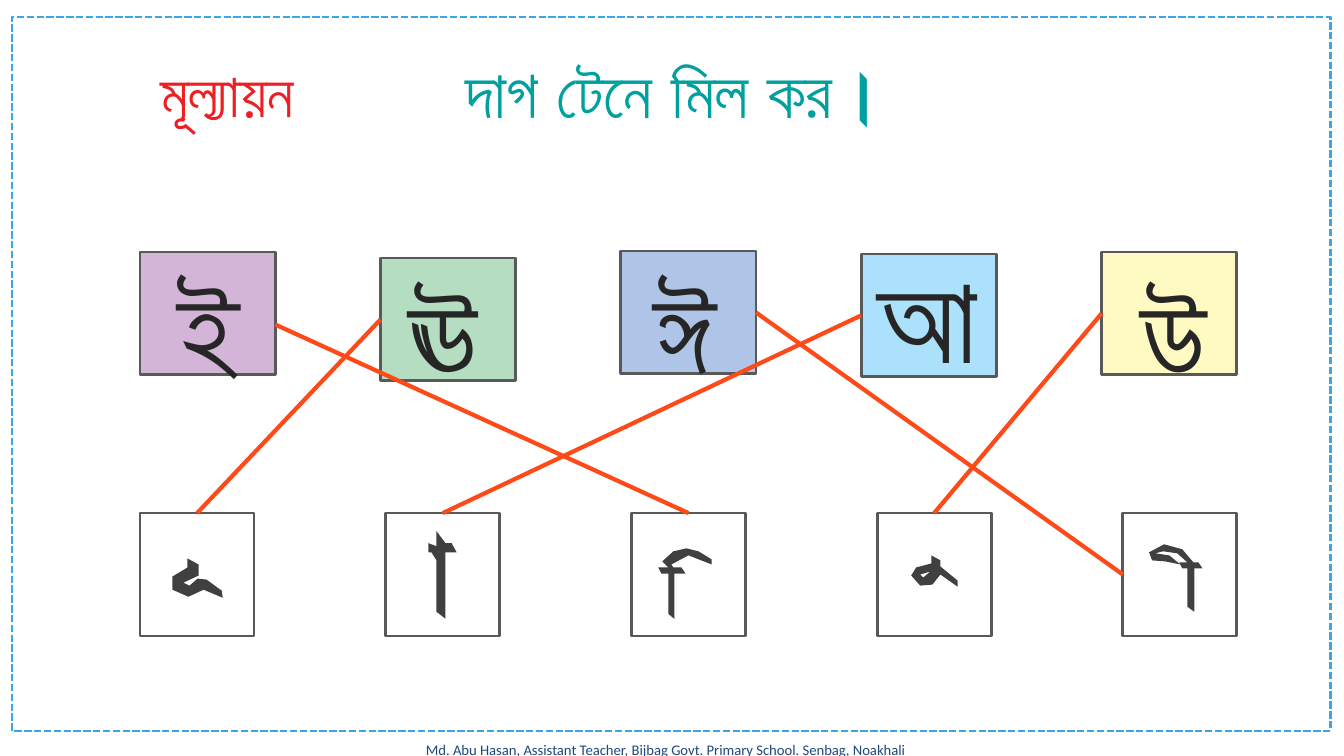
from lxml import etree
from pptx import Presentation
from pptx.dml.color import RGBColor
from pptx.enum.dml import MSO_LINE
from pptx.enum.shapes import MSO_CONNECTOR, MSO_SHAPE
from pptx.enum.text import MSO_ANCHOR, MSO_AUTO_SIZE, PP_ALIGN
from pptx.oxml.ns import qn
from pptx.util import Pt

RECT = MSO_SHAPE.RECTANGLE
LINE = MSO_CONNECTOR.STRAIGHT
DASH = MSO_LINE.SQUARE_DOT
LEFT, MID = PP_ALIGN.LEFT, PP_ALIGN.CENTER
HIGH = MSO_ANCHOR.TOP
FIXED = MSO_AUTO_SIZE.NONE
TOP, SIDE, RIGHT = 0, 1, 3

HUES = {
    "frame": "3CA5E5", "edge": "595959", "link": "FE4919",
    "label": "ED1F24", "title": "00A09F", "foot": "1F497D",
    "letter": "262626", "sign": "404040", "white": "FFFFFF",
    "mauve": "D3B6D7", "green": "B4DDC1", "blue": "AEC5E7",
    "sky": "ABE1FA", "yellow": "FFFAC2",
}

FORMS = {
    "label": {"size": Pt(44), "bold": True},
    "title": {"size": Pt(48), "bold": True},
    "letter": {"size": Pt(88), "bold": True},
    "foot": {"size": Pt(10.5), "bold": False},
}

TITLE = "দাগ টেনে মিল কর।"
LABEL = "মূল্যায়ন"
FOOT = "Md. Abu Hasan, Assistant Teacher, Bijbag Govt. Primary School. Senbag, Noakhali"

LETTERS = [
    ("ই", "mauve", 180, 19.4, 175),
    ("ঊ", "green", 184.3, 12.6, 180),
    ("ঈ", "blue", 179.3, 15.9, 175),
    ("আ", "sky", 181.4, 4.7, 167.8),
    ("উ", "yellow", 180, 20.9, 180),
]

SIGNS = [
    (121.7, 398.9, [[
        (17, 0), (28, 6), (28, 17), (13, 24), (19, 27), (27, 20), (36, 21),
        (51, 32), (52, 39), (33, 31), (18, 38), (2, 31), (2, 18), (17, 9)]]),
    (306, 379.4, [[
        (8, 0), (17, 12), (23, 12), (28, 21), (17, 21), (17, 87), (8, 80),
        (8, 29), (3, 21), (0, 21), (0, 12), (8, 15)]]),
    (470.2, 391.7, [[
        (28, 0), (40, 3), (53, 11), (53, 16), (30, 7), (13, 16), (15, 19),
        (23, 19), (27, 25), (16, 25), (16, 70), (10, 65), (10, 25), (3, 25),
        (0, 19), (10, 19), (4, 13), (15, 3)]]),
    (650.9, 396.7, [[
        (20, 0), (29, 5), (29, 11), (46, 25), (46, 31), (29, 19), (21, 29),
        (9, 30), (0, 20), (5, 12), (20, 8)],
        [(19, 16), (9, 19), (12, 22)]]),
    (820.8, 388.8, [[
        (15, 0), (33, 5), (44, 18), (49, 18), (53, 24), (45, 24), (45, 67),
        (38, 62), (38, 24), (33, 24), (30, 18), (38, 18), (28, 9), (14, 7),
        (6, 9), (20, 11), (31, 20), (16, 17), (3, 16), (0, 8)]]),
]

LINKS = [(0, RIGHT, 2, TOP), (3, SIDE, 1, TOP), (4, SIDE, 3, TOP),
         (1, SIDE, 0, TOP), (2, RIGHT, 4, SIDE)]
LOOSE = {0: (196.6, 231.8)}

EDGE, ROW, TALL = 100.1, 366.5, 87.8
WIDE, STEP = 96.5, 171.7
SLIM, PACE = 81.4, 175.5
UNIT = Pt(0.72)


def hue(name):
    return RGBColor.from_string(HUES[name])


def paint(shape, fill, line=None, width=0):
    shape.shadow.inherit = False
    if fill:
        shape.fill.solid()
        shape.fill.fore_color.rgb = hue(fill)
    else:
        shape.fill.background()
    if line:
        shape.line.color.rgb = hue(line)
        shape.line.width = Pt(width)
    else:
        shape.line.fill.background()


def card(box, fill, line="edge", width=2):
    shape = slide.shapes.add_shape(RECT, *map(Pt, box))
    paint(shape, fill, line, width)
    return shape


def write(shape, text, form, align=LEFT):
    frame = shape.text_frame
    frame.word_wrap = True
    frame.auto_size = FIXED
    frame.vertical_anchor = HIGH
    para = frame.paragraphs[0]
    para.alignment = align
    run = para.add_run()
    run.text = text
    run.font.name = "Calibri"
    run.font.color.rgb = hue(form)
    for key, value in FORMS[form].items():
        setattr(run.font, key, value)


def label(box, text, form, align=LEFT):
    write(slide.shapes.add_textbox(*map(Pt, box)), text, form, align)


def draw(left, top, rings):
    first, *holes = rings
    pen = slide.shapes.build_freeform(*first[0], scale=UNIT)
    pen.add_line_segments(first[1:], close=True)
    for ring in holes:
        pen.move_to(*ring[0])
        pen.add_line_segments(ring[1:], close=True)
    paint(pen.convert_to_shape(Pt(left), Pt(top)), "sign")


deck = Presentation()
deck.slide_width, deck.slide_height = Pt(960), Pt(540)
slide = deck.slides.add_slide(deck.slide_layouts[5])

head = slide.shapes.title
spot = {"left": 139, "top": 33.1, "width": 681.8, "height": 65.5}
for key, value in spot.items():
    setattr(head, key, Pt(value))
write(head, TITLE, "title", MID)

label((252, 525.6, 447.1, 20), FOOT, "foot", MID)
card((8.6, 12.2, 941.8, 509.8), None, "frame", 1.75).line.dash_style = DASH
label((107.3, 36.7, 215.3, 60.5), LABEL, "label")

uppers, lowers = [], []
for i, (text, fill, top, inset, high) in enumerate(LETTERS):
    left = EDGE + i * STEP
    uppers.append(card((left, top, WIDE, TALL), fill))
    label((left + inset, high, 77, 113.8), text, "letter")
for i, sign in enumerate(SIGNS):
    lowers.append(card((EDGE + i * PACE, ROW, SLIM, TALL), "white"))
    draw(*sign)

for start, out, end, into in LINKS:
    x, y = LOOSE.get(start, (0, 0))
    link = slide.shapes.add_connector(LINE, Pt(x), Pt(y), Pt(x), Pt(y))
    if start not in LOOSE:
        link.begin_connect(uppers[start], out)
    link.end_connect(lowers[end], into)
    link.line.color.rgb = hue("link")
    link.line.width = Pt(3)
    etree.SubElement(link._element.spPr, qn("a:effectLst"))

deck.save("out.pptx")
